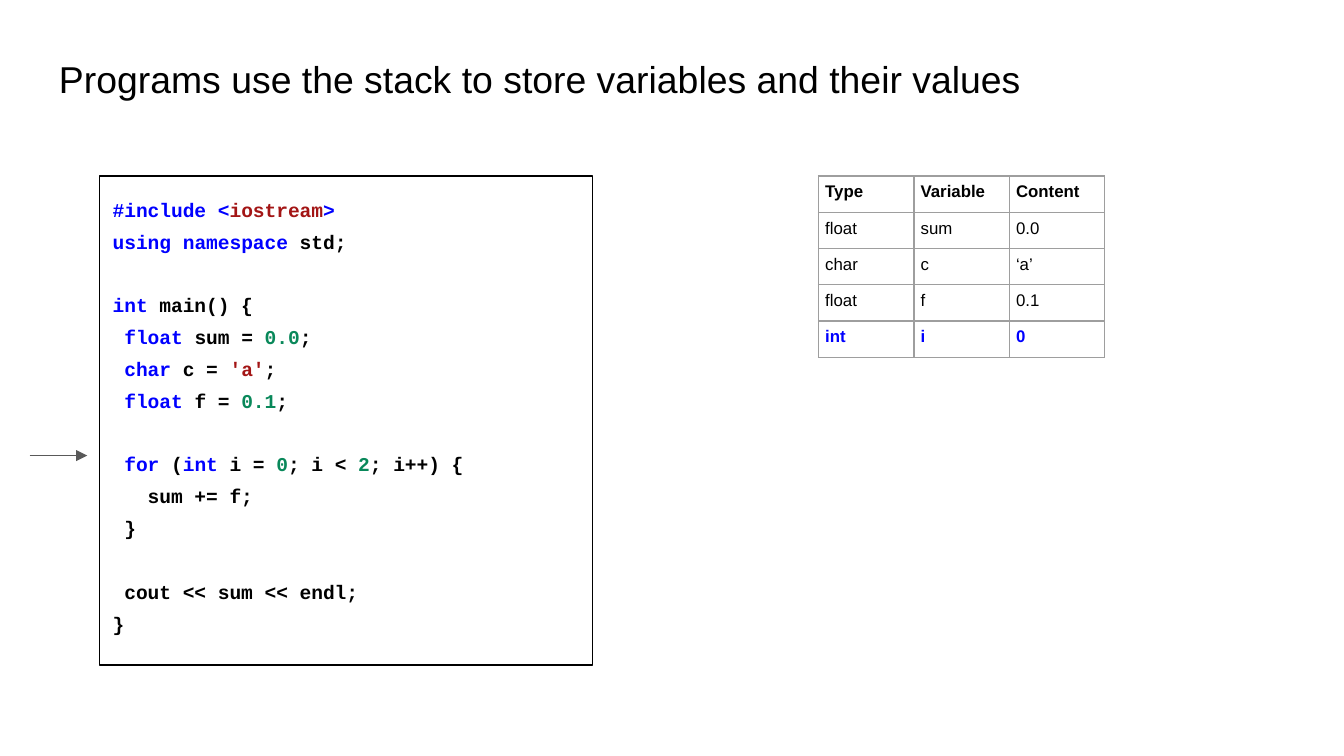
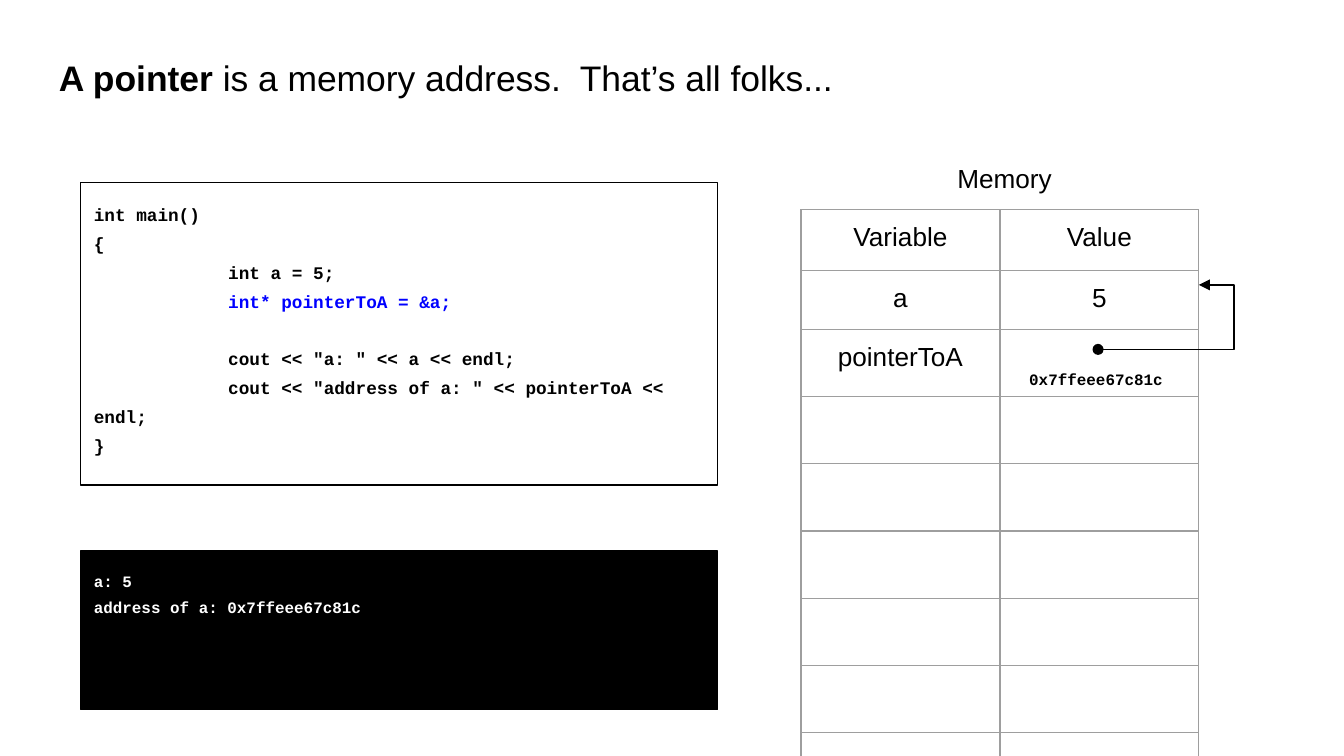
from pptx import Presentation
from pptx.dml.color import RGBColor as Rgb
from pptx.enum.shapes import MSO_CONNECTOR as Conn, MSO_SHAPE as Form
from pptx.enum.text import MSO_ANCHOR as Anchor, PP_ALIGN as Align
from pptx.oxml.ns import qn
from pptx.util import Inches, Pt
from lxml.etree import SubElement as Sub

HUE = {
    "ink": "000000",
    "paper": "FFFFFF",
    "key": "0000FF",
    "lit": "A31515",
    "num": "09885A",
    "grid": "9E9E9E",
    "arrow": "595959",
}
SANS, MONO = "Arial", "Courier New"
LEAD = 1.36
BLANK = 1.61
WIDE = Inches(10)
HIGH = WIDE * 9 // 16

LOOP = """~#include~ ~<~~iostream~~>~
~using~ ~namespace~ std;

~int~ main() {
 ~float~ sum = ~0.0~;
 ~char~ c = ~'a'~;
 ~float~ f = ~0.1~;

 ~for~ (~int~ i = ~0~; i < ~2~; i++) {
   sum += f;
 }

 cout << sum << endl;
}"""

POINT = """int main()
{
\tint a = 5;
\t~int* pointerToA = &a;~

\tcout << "a: " << a << endl;
\tcout << "address of a: " << pointerToA << endl;
}"""

ECHO = """a: 5
address of a: 0x7ffeee67c81c"""

STACK = [
    ("Type", "Variable", "Content"),
    ("float", "sum", "0.0"),
    ("char", "c", "‘a’"),
    ("float", "f", "0.1"),
    ("int", "i", "0"),
]
CELLS = [("Variable", "Value"), ("a", "5"), ("pointerToA", "")] + [("", "")] * 6


def rgb(hue):
    """Return the named colour."""
    return Rgb.from_string(HUE[hue])


def add_run(para, text, size, hue="ink", bold=False, face=SANS):
    """Add one styled run to a paragraph."""
    run = para.add_run()
    run.text = text
    font = run.font
    font.name, font.size, font.bold = face, Pt(size), bold
    font.color.rgb = rgb(hue)


def set_frame(frame, pad=0.1):
    """Set wrapping, top anchor and equal margins."""
    frame.word_wrap = True
    frame.vertical_anchor = Anchor.TOP
    frame.margin_left = frame.margin_right = Inches(pad)
    frame.margin_top = frame.margin_bottom = Inches(pad)


def add_box(slide, box):
    """Add a text box and return its first paragraph."""
    frame = slide.shapes.add_textbox(*map(Inches, box)).text_frame
    set_frame(frame)
    return frame.paragraphs[0]


def add_title(slide, parts, size):
    """Add the slide title from (text, bold) parts."""
    para = add_box(slide, (0.34, 0.32, 9.32, 0.63))
    for text, bold in parts:
        add_run(para, text, size, bold=bold)


def pick_hue(word):
    """Choose the colour of a marked piece of code."""
    if word[0].isdigit():
        return "num"
    return "lit" if word in ("iostream", "'a'") else "key"


def add_tab(para):
    """Set a tab stop at one inch."""
    tabs = Sub(para._p.get_or_add_pPr(), qn("a:tabLst"))
    Sub(tabs, qn("a:tab"), pos=str(Inches(1)), algn="l")


def add_code(slide, box, code, size, ink="ink", fill=None):
    """Add a framed listing, tinting the pieces between tildes."""
    shape = slide.shapes.add_shape(Form.RECTANGLE, *map(Inches, box))
    shape.shadow.inherit = False
    shape.line.color.rgb = rgb("ink")
    shape.line.width = Pt(0.75)
    if fill:
        shape.fill.solid()
        shape.fill.fore_color.rgb = rgb(fill)
    else:
        shape.fill.background()
    frame = shape.text_frame
    set_frame(frame)
    para, gap = frame.paragraphs[0], 0
    for num, line in enumerate(code.split("\n")):
        if not line:
            gap += size * BLANK
            continue
        if num:
            para = frame.add_paragraph()
        para.alignment = Align.LEFT
        para.line_spacing = LEAD
        para.space_before = Pt(gap)
        gap = 0
        if "\t" in line:
            add_tab(para)
        for odd, piece in enumerate(line.split("~")):
            if piece:
                hue = pick_hue(piece) if odd % 2 else ink
                add_run(para, piece, size, hue, True, MONO)


def add_edges(cell):
    """Draw the four thin borders of a cell."""
    props = cell._tc.get_or_add_tcPr()
    for side in ("lnL", "lnR", "lnT", "lnB"):
        edge = Sub(props, qn("a:" + side), w=str(Pt(0.75)))
        fill = Sub(edge, qn("a:solidFill"))
        Sub(fill, qn("a:srgbClr"), val=HUE["grid"])


def add_grid(slide, spot, rows, wide, highs, size, pad, align, style):
    """Add a bordered table; style maps a row to its colour and weight."""
    cols = len(rows[0])
    area = (*spot, wide * cols, sum(highs))
    table = slide.shapes.add_table(len(rows), cols, *map(Inches, area)).table
    table.first_row = table.horz_banding = False
    for col in table.columns:
        col.width = Inches(wide)
    for num, (texts, high) in enumerate(zip(rows, highs)):
        table.rows[num].height = Inches(high)
        for cell, text in zip(table.rows[num].cells, texts):
            add_edges(cell)
            cell.fill.background()
            cell.margin_left = cell.margin_right = Inches(pad)
            cell.margin_top = cell.margin_bottom = Inches(pad)
            para = cell.text_frame.paragraphs[0]
            para.alignment = align
            if text:
                add_run(para, text, size, *style.get(num, ("ink", False)))
            else:
                last = Sub(para._p, qn("a:endParaRPr"), sz="1800")
                Sub(last, qn("a:latin"), typeface=SANS)


def add_arrow(slide, kind, ends, hue, head=None, bend=None):
    """Add an arrow, with an optional start mark and elbow bend."""
    link = slide.shapes.add_connector(kind, *map(Inches, ends))
    link.line.color.rgb = rgb(hue)
    link.line.width = Pt(0.75)
    edge = link.line._get_or_add_ln()
    if head:
        Sub(edge, qn("a:headEnd"), type=head)
    Sub(edge, qn("a:tailEnd"), type="triangle")
    props = link._element.spPr
    Sub(props, qn("a:effectLst"))
    if bend:
        guides = props.find(qn("a:prstGeom")).find(qn("a:avLst"))
        Sub(guides, qn("a:gd"), name="adj1", fmla=f"val {round(bend * 100000)}")


def draw_stack(slide):
    """Build the slide on the stack."""
    title = "Programs use the stack to store variables and their values"
    add_title(slide, [(title, False)], 20)
    add_code(slide, (0.74, 1.31, 3.67, 3.64), LOOP, 10.5)
    style = {0: ("ink", True), 4: ("key", True)}
    add_grid(slide, (6.09, 1.31), STACK, 0.71, [0.27] * 5, 9, 0.05, Align.LEFT, style)
    add_arrow(slide, Conn.STRAIGHT, (0.22, 3.39, 0.65, 3.39), "arrow")


def draw_point(slide):
    """Build the slide on pointers."""
    rest = " is a memory address.  That’s all folks..."
    add_title(slide, [("A pointer", True), (rest, False)], 19)
    add_code(slide, (0.6, 1.36, 4.74, 2.25), POINT, 9.5)
    add_code(slide, (0.6, 4.1, 4.74, 1.18), ECHO, 8.5, "paper", "ink")
    highs = [0.45] + [0.44] * 8
    add_grid(slide, (5.96, 1.56), CELLS, 1.48, highs, 14, 0.1, Align.CENTER, {})
    para = add_box(slide, (5.71, 1.11, 3.53, 0.55))
    para.alignment = Align.CENTER
    add_run(para, "Memory", 14)
    add_arrow(slide, Conn.ELBOW, (8.17, 2.6, 8.92, 2.12), "ink", "oval", 1.35)
    para = add_box(slide, (7.56, 2.6, 1.34, 0.31))
    para.line_spacing = LEAD
    add_run(para, "0x7ffeee67c81c", 8.5, "ink", True, MONO)


def main():
    """Build and save both slides."""
    deck = Presentation()
    deck.slide_width, deck.slide_height = WIDE, HIGH
    for draw in (draw_stack, draw_point):
        draw(deck.slides.add_slide(deck.slide_layouts[6]))
    deck.save("out.pptx")


if __name__ == "__main__":
    main()
